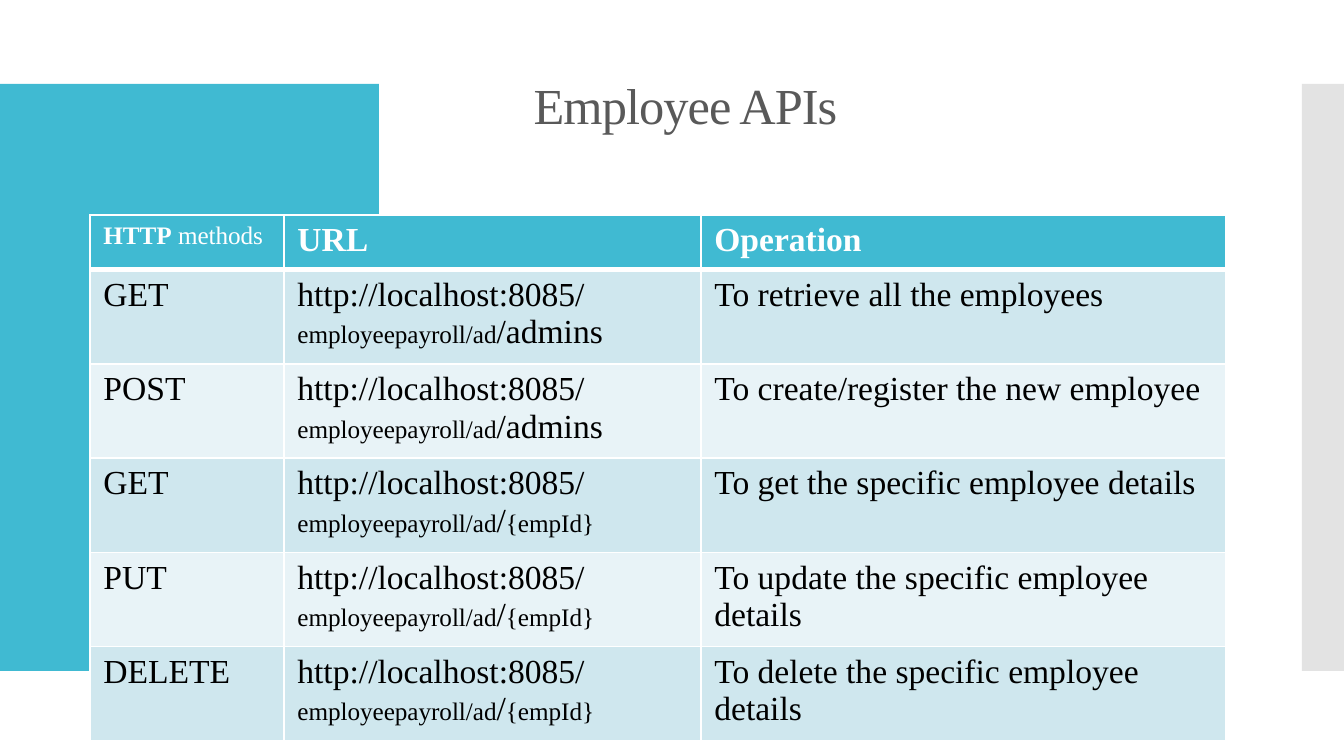
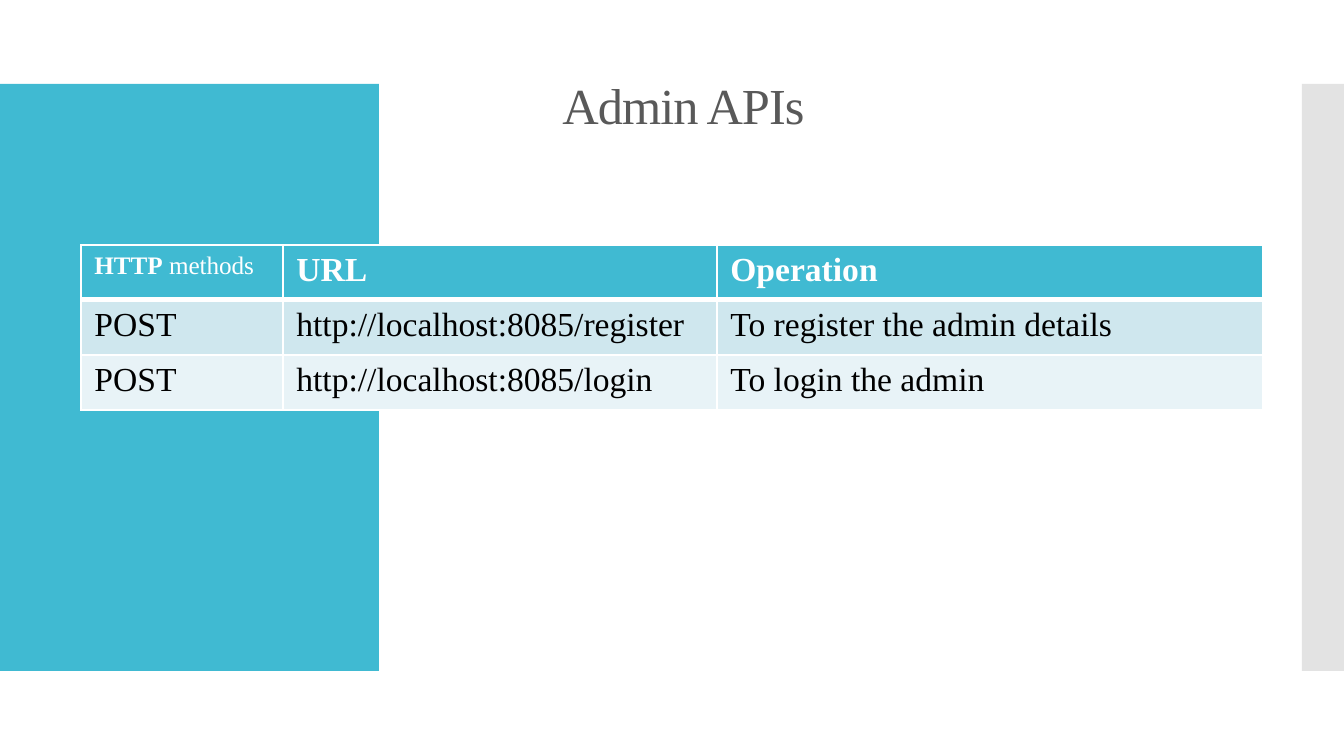
import pptx
import pptx.util
import pptx.dml.color
import pptx.enum.shapes
import pptx.enum.text
import pptx.oxml.ns
from lxml import etree

PX = 914400 / 134.4
FONT = "Times New Roman"
TEAL = pptx.dml.color.RGBColor(0x40, 0xBA, 0xD2)
GREY = pptx.dml.color.RGBColor(0xC8, 0xC8, 0xC8)
TITLE_GREY = pptx.dml.color.RGBColor(0x59, 0x59, 0x59)
WHITE = pptx.dml.color.RGBColor(0xFF, 0xFF, 0xFF)
BLACK = pptx.dml.color.RGBColor(0x00, 0x00, 0x00)
ROW_FILLS = [pptx.dml.color.RGBColor(0xE8, 0xF3, 0xF7), pptx.dml.color.RGBColor(0xCF, 0xE7, 0xEE)]
ROW_HEIGHT = 55
SMALL_RUNS = {"HTTP", " methods", "employeepayroll/ad", "{empId}"}
HEADER = ("HTTP| methods", "URL", "Operation")
ADMINS_URL = "http://localhost:8085/|employeepayroll/ad|/admins"
EMPLOYEE_URL = "http://localhost:8085/|employeepayroll/ad|/|{empId}"

SLIDES = [
    {
        "title": "Employee APIs",
        "title_left": 90,
        "table_at": (90, 215),
        "columns": (194, 417, 525),
        "rows": [
            ("GET", ADMINS_URL, "To retrieve all the employees"),
            ("POST", ADMINS_URL, "To create/register the new employee"),
            ("GET", EMPLOYEE_URL, "To get the specific employee details"),
            ("PUT", EMPLOYEE_URL, "To update the specific employee details"),
            ("DELETE", EMPLOYEE_URL, "To delete the specific employee details"),
        ],
    },
    {
        "title": "Admin APIs",
        "title_left": 88,
        "table_at": (81, 245),
        "columns": (202, 434, 546),
        "rows": [
            ("POST", "http://localhost:8085/register", "To register the admin details"),
            ("POST", "http://localhost:8085/login", "To login the admin"),
        ],
    },
]


def px(*lengths):
    return [pptx.util.Emu(round(length * PX)) for length in lengths]


def set_borders(cell, top, bottom):
    properties = cell._tc.get_or_add_tcPr()
    sides = (("lnL", 1), ("lnR", 1), ("lnT", top), ("lnB", bottom))
    for position, (side, points) in enumerate(sides):
        line = etree.Element(pptx.oxml.ns.qn(f"a:{side}"), w=str(pptx.util.Pt(points)))
        fill = etree.SubElement(line, pptx.oxml.ns.qn("a:solidFill"))
        etree.SubElement(fill, pptx.oxml.ns.qn("a:srgbClr"), val=str(WHITE))
        properties.insert(position, line)


presentation = pptx.Presentation()
presentation.slide_width, presentation.slide_height = px(1344, 756)

for content in SLIDES:
    slide = presentation.slides.add_slide(presentation.slide_layouts[6])

    for left, width, color in ((0, 379, TEAL), (1302, 42, GREY)):
        band = slide.shapes.add_shape(
            pptx.enum.shapes.MSO_SHAPE.RECTANGLE, *px(left, 84, width, 587))
        band.shadow.inherit = False
        band.fill.solid()
        band.fill.fore_color.rgb = color
        band.line.fill.background()
    grey_color = band._element.spPr.find(".//" + pptx.oxml.ns.qn("a:srgbClr"))
    etree.SubElement(grey_color, pptx.oxml.ns.qn("a:alpha"), val="50000")

    title = slide.shapes.add_textbox(*px(content["title_left"], 62, 1191, 85))
    frame = title.text_frame
    frame.word_wrap = True
    frame.vertical_anchor = pptx.enum.text.MSO_ANCHOR.MIDDLE
    frame.margin_left = frame.margin_right = pptx.util.Inches(0.1)
    frame.margin_top = frame.margin_bottom = pptx.util.Inches(0.1)
    paragraph = frame.paragraphs[0]
    paragraph.alignment = pptx.enum.text.PP_ALIGN.CENTER
    run = paragraph.add_run()
    run.text = content["title"]
    run._r.get_or_add_rPr().set("spc", "-50")
    paragraph.font.name = FONT
    paragraph.font.size = pptx.util.Pt(27)
    paragraph.font.color.rgb = TITLE_GREY

    rows = [HEADER, *content["rows"]]
    columns = content["columns"]
    table = slide.shapes.add_table(
        len(rows), len(columns),
        *px(*content["table_at"], sum(columns), ROW_HEIGHT * len(rows))).table
    for column, width in zip(table.columns, px(*columns)):
        column.width = width

    for row_index, row in enumerate(rows):
        is_header = row_index == 0
        for column_index, text in enumerate(row):
            cell = table.cell(row_index, column_index)
            cell.fill.solid()
            cell.fill.fore_color.rgb = TEAL if is_header else ROW_FILLS[row_index % 2]
            set_borders(cell, 3 if row_index == 1 else 1, 3 if is_header else 1)
            paragraph = cell.text_frame.paragraphs[0]
            paragraph.font.name = FONT
            paragraph.font.color.rgb = WHITE if is_header else BLACK
            for part in text.split("|"):
                run = paragraph.add_run()
                run.text = part
                run.font.size = pptx.util.Pt(13.5 if part in SMALL_RUNS else 18)
                run.font.bold = is_header and part != " methods"

presentation.save("out.pptx")
